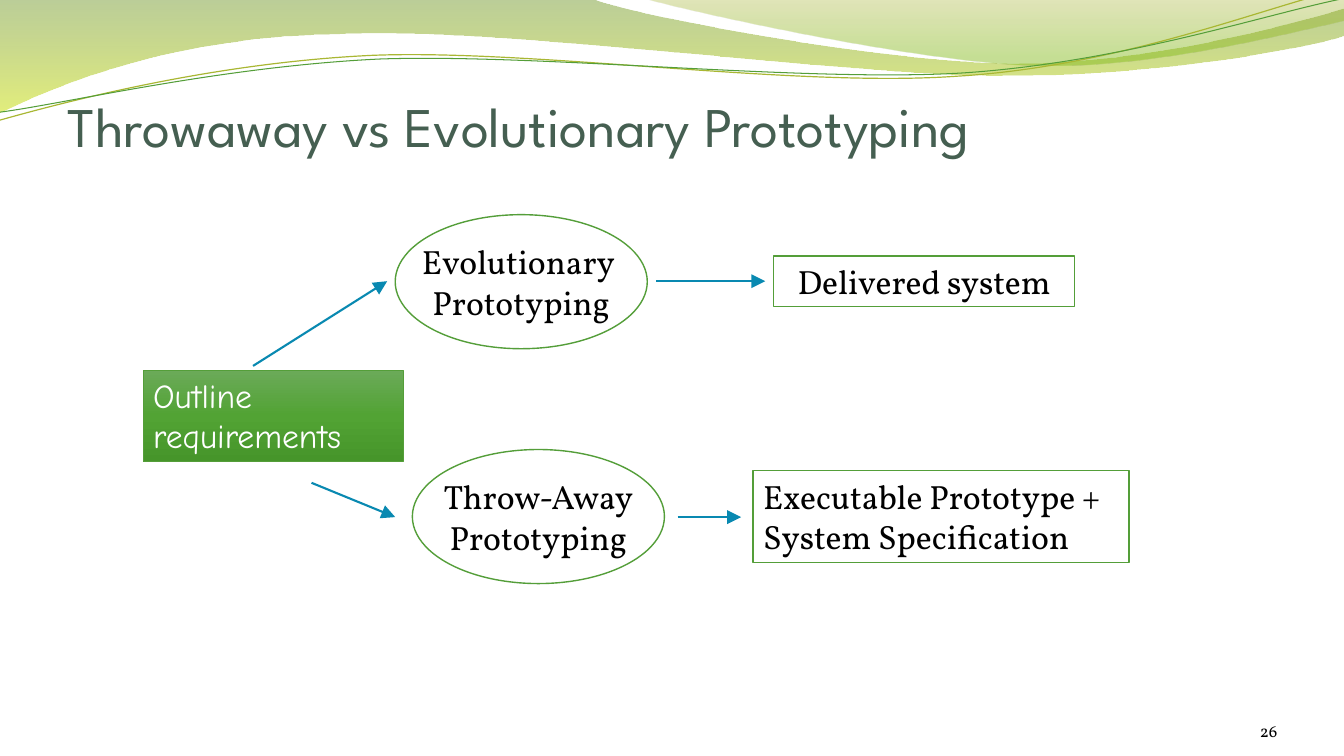
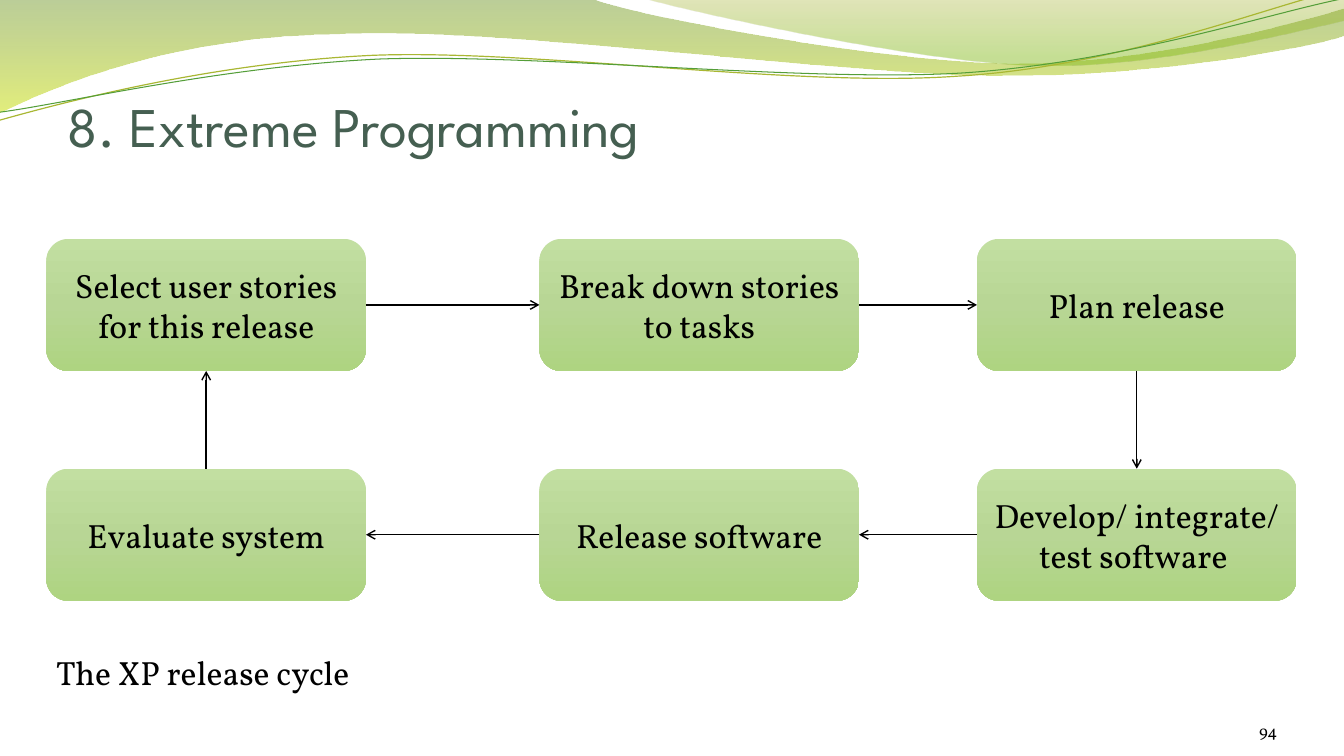
from dataclasses import dataclass

from lxml.etree import SubElement
from pptx import Presentation
from pptx.dml.color import RGBColor
from pptx.enum.shapes import MSO_CONNECTOR as CONN, MSO_SHAPE as SHAPE
from pptx.enum.text import MSO_ANCHOR as ANCHOR, MSO_AUTO_SIZE as AUTO, PP_ALIGN as ALIGN
from pptx.oxml.ns import qn
from pptx.util import Inches, Pt


@dataclass(frozen=True)
class Theme:
    heading: str = "League Spartan"
    body: str = "Vollkorn"
    accent: str = "Comic Neue"
    title_size: float = 40
    body_size: float = 24
    number_size: float = 12
    title: str = "455F51"
    ink: str = "000000"
    white: str = "FFFFFF"
    green: str = "549E39"
    olive: str = "A9B733"
    blue: str = "0989B1"
    # Gradients: (position %, colour, opacity %), from top to bottom
    strong: tuple = ((0, "6BAA59", 100), (50, "52A334", 100), (100, "46952A", 100))
    soft: tuple = ((0, "C2DFA1", 100), (50, "B8D695", 100), (100, "AED481", 100))
    wide_wave: tuple = ((0, "69921C", 45), (100, "CCE10F", 55))
    right_wave: tuple = ((0, "9BAA1A", 30), (80, "81BA16", 45))


T = Theme()
TITLE_BOX = (0.67, 0.77, 12.11, 0.8)
NUMBER_BOX = (11.56, 6.95, 1.11, 0.4)

# Wave outlines: two numbers are a straight step, six a Bézier step
WIDE_WAVE = [(0, 0), (5.87, -0.01), (6.34, 0.17, 8.84, 0.63, 10.11, 0.63),
             (11.37, 0.63, 12.77, 0.26, 13.33, 0.09), (13.34, 0.36),
             (13.11, 0.44, 11.59, 0.76, 9.94, 0.75),
             (8.29, 0.75, 5.09, 0.28, 3.43, 0.34),
             (1.72, 0.36, 0.61, 0.83, -0.02, 1.13), (0, 0)]
RIGHT_WAVE = [(6.38, -0.01), (6.79, 0.11, 9.09, 0.62, 10.25, 0.65),
              (11.4, 0.69, 12.82, 0.32, 13.33, 0.21), (13.33, 0), (6.38, -0.01)]
# The two thin lines are given level and then tilted
LINE_TILT = 357.3
OLIVE_LINE = [(-0.03, 0.88), (0.62, 0.73, 2.1, 0.41, 3.69, 0.41),
              (5.28, 0.42, 7.87, 0.93, 9.48, 0.89),
              (11.09, 0.87, 12.53, 0.36, 13.32, 0.21)]
GREEN_LINE = [(-0.03, 0.8), (0.61, 0.75, 2.18, 0.45, 3.77, 0.45),
              (5.37, 0.47, 7.95, 0.88, 9.54, 0.86),
              (11.13, 0.83, 12.56, 0.42, 13.35, 0.3)]


def rgb(color):
    return RGBColor.from_string(color)


def inches(values):
    return [Inches(v) for v in values]


# Formatting helpers
def set_fill(sp, fill):
    """Fill with a colour, with gradient stops, or with nothing."""
    if fill is None:
        sp.fill.background()
    elif isinstance(fill, str):
        sp.fill.solid()
        sp.fill.fore_color.rgb = rgb(fill)
    else:
        sp.fill.gradient()
        sp.fill.gradient_angle = 270
        stops = sp.element.spPr.find(qn("a:gradFill")).find(qn("a:gsLst"))
        for old in list(stops):
            stops.remove(old)
        for pos, color, opacity in fill:
            gs = SubElement(stops, qn("a:gs"), pos=str(pos * 1000))
            clr = SubElement(gs, qn("a:srgbClr"), val=color)
            if opacity < 100:
                SubElement(clr, qn("a:alpha"), val=str(opacity * 1000))


def set_line(sp, color, width):
    if color is None:
        sp.line.fill.background()
    else:
        sp.line.color.rgb = rgb(color)
        sp.line.width = Pt(width)


def style_shape(sp, fill=None, line=None, width=1):
    sp.shadow.inherit = False
    set_fill(sp, fill)
    set_line(sp, line, width)


def write(sp, lines, font=T.body, size=T.body_size, color=T.ink,
          align=ALIGN.CENTER, anchor=ANCHOR.MIDDLE, wrap=True, insets=None):
    tf = sp.text_frame
    tf.word_wrap = wrap
    tf.auto_size = AUTO.NONE
    tf.vertical_anchor = anchor
    if insets:
        (tf.margin_left, tf.margin_top,
         tf.margin_right, tf.margin_bottom) = inches(insets)
    for i, line in enumerate(lines):
        p = tf.add_paragraph() if i else tf.paragraphs[0]
        p.alignment = align
        r = p.add_run()
        r.text = line
        r.font.name, r.font.size = font, Pt(size)
        r.font.color.rgb = rgb(color)


def add_box(slide, kind, box, lines, fill=T.white, line=T.green, width=1, **text):
    sp = slide.shapes.add_shape(kind, *inches(box))
    style_shape(sp, fill, line, width)
    write(sp, lines, **text)
    return sp


def add_label(slide, box, text, **style):
    write(slide.shapes.add_textbox(*inches(box)), [text], **style)


def add_arrow(slide, start, end, color, width, head, head_size="med"):
    cx = slide.shapes.add_connector(CONN.STRAIGHT, *inches(start + end))
    set_line(cx, color, width)
    sp_pr = cx.element.spPr
    SubElement(sp_pr.find(qn("a:ln")), qn("a:tailEnd"),
               type=head, w=head_size, len=head_size)
    SubElement(sp_pr, qn("a:effectLst"))
    return cx


# Wave band shared by all slides
def add_curve(slide, steps, closed):
    """Build the outline through all points, then join each three as a Bézier."""
    points = [inches(step[i:i + 2]) for step in steps for i in range(0, len(step), 2)]
    builder = slide.shapes.build_freeform(*points[0])
    builder.add_line_segments(points[1:], close=closed)
    sp = builder.convert_to_shape()
    segments = iter(list(sp.element.spPr.iter(qn("a:lnTo"))))
    for step in steps[1:]:
        segment = next(segments)
        if len(step) == 6:
            outline = segment.getparent()
            curve = SubElement(outline, qn("a:cubicBezTo"))
            outline.replace(segment, curve)
            curve.append(segment[0])
            for _ in range(2):
                extra = next(segments)
                curve.append(extra[0])
                outline.remove(extra)
    return sp


def move_waves_to_layout(slide, layout):
    """Draw the waves with the slide's builder, then place them on its layout."""
    waves = [(WIDE_WAVE, T.wide_wave, None, 0, 0),
             (RIGHT_WAVE, T.right_wave, None, 0, 0),
             (OLIVE_LINE, None, T.olive, 0.85, LINE_TILT),
             (GREEN_LINE, None, T.green, 0.75, LINE_TILT)]
    for i, (steps, fill, line, width, tilt) in enumerate(waves):
        sp = add_curve(slide, steps, closed=fill is not None)
        style_shape(sp, fill, line, width)
        sp.rotation = tilt
        layout.shapes.element.insert(2 + i, sp.element)


def add_titled_slide(prs, title, number):
    slide = prs.slides.add_slide(prs.slide_layouts[5])
    s = slide.shapes.title
    s.left, s.top, s.width, s.height = inches(TITLE_BOX)
    write(s, [title], font=T.heading, size=T.title_size, color=T.title,
          align=ALIGN.LEFT, anchor=ANCHOR.BOTTOM, insets=(0, 0.05, 0, 0))
    add_label(slide, NUMBER_BOX, number, size=T.number_size, align=ALIGN.RIGHT,
              anchor=ANCHOR.BOTTOM, insets=(0, 0, 0, 0))
    return slide


# Two prototyping routes from one set of requirements
def draw_routes(slide, left, top):
    def at(x, y):
        return left + x, top + y

    add_box(slide, SHAPE.RECTANGLE, at(0, 1.54) + (2.58, 0.91),
            ["Outline requirements"], fill=T.strong, width=0.5, font=T.accent,
            color=T.white, align=ALIGN.LEFT, anchor=ANCHOR.TOP)
    for x, y, kind in ((2.5, 0, "Evolutionary "), (2.67, 2.33, "Throw-Away")):
        add_box(slide, SHAPE.OVAL, at(x, y) + (2.5, 1.33), [kind, "Prototyping"],
                wrap=False)
    add_box(slide, SHAPE.RECTANGLE, at(6.25, 0.41) + (2.99, 0.5),
            ["Delivered system"], anchor=ANCHOR.TOP)
    add_box(slide, SHAPE.RECTANGLE, at(6.05, 2.54) + (3.73, 0.91),
            ["Executable Prototype + System Specification"],
            align=ALIGN.LEFT, anchor=ANCHOR.TOP)
    for start, end in (((5.09, 0.66), (6.17, 0.66)), ((5.3, 3), (5.93, 3)),
                       ((1.09, 1.5), (2.42, 0.66)), ((1.67, 2.66), (2.5, 3))):
        add_arrow(slide, at(*start), at(*end), T.blue, 1.5, "triangle", "lg")


# Clockwise cycle of six steps on a grid of three columns and two rows
def draw_cycle(slide, left, top, steps):
    columns, rows, size = (0, 4.89, 9.23), (0, 2.28), (3.17, 1.31)
    cells = [(x, rows[0]) for x in columns] + [(x, rows[1]) for x in reversed(columns)]
    boxes = [add_box(slide, SHAPE.ROUNDED_RECTANGLE, (left + x, top + y) + size, [step],
                     fill=T.soft, line=None)
             for (x, y), step in zip(cells, steps)]
    # Connection sites: 0 top, 1 left, 2 bottom, 3 right
    sites = [(3, 1), (3, 1), (2, 0), (1, 3), (1, 3), (0, 2)]
    for box, following, (leave, enter) in zip(boxes, boxes[1:] + boxes[:1], sites):
        cx = add_arrow(slide, (left, top), (left, top), T.ink, 1, "arrow")
        cx.begin_connect(box, leave)
        cx.end_connect(following, enter)


def main():
    prs = Presentation()
    prs.slide_width, prs.slide_height = Inches(13.33), Inches(7.5)

    s = add_titled_slide(prs, "Throwaway vs Evolutionary Prototyping", "26")
    move_waves_to_layout(s, s.slide_layout)
    draw_routes(s, 1.42, 2.13)

    s = add_titled_slide(prs, "8. Extreme Programming", "94")
    draw_cycle(s, 0.46, 2.37, [
        "Select user stories for this release", "Break down stories to tasks",
        "Plan release", "Develop/ integrate/ test software ",
        "Release software", "Evaluate system"])
    add_label(s, (0.46, 6.42, 7.17, 0.5), "The XP release cycle",
              align=ALIGN.LEFT, anchor=ANCHOR.TOP)

    prs.save("out.pptx")


if __name__ == "__main__":
    main()
